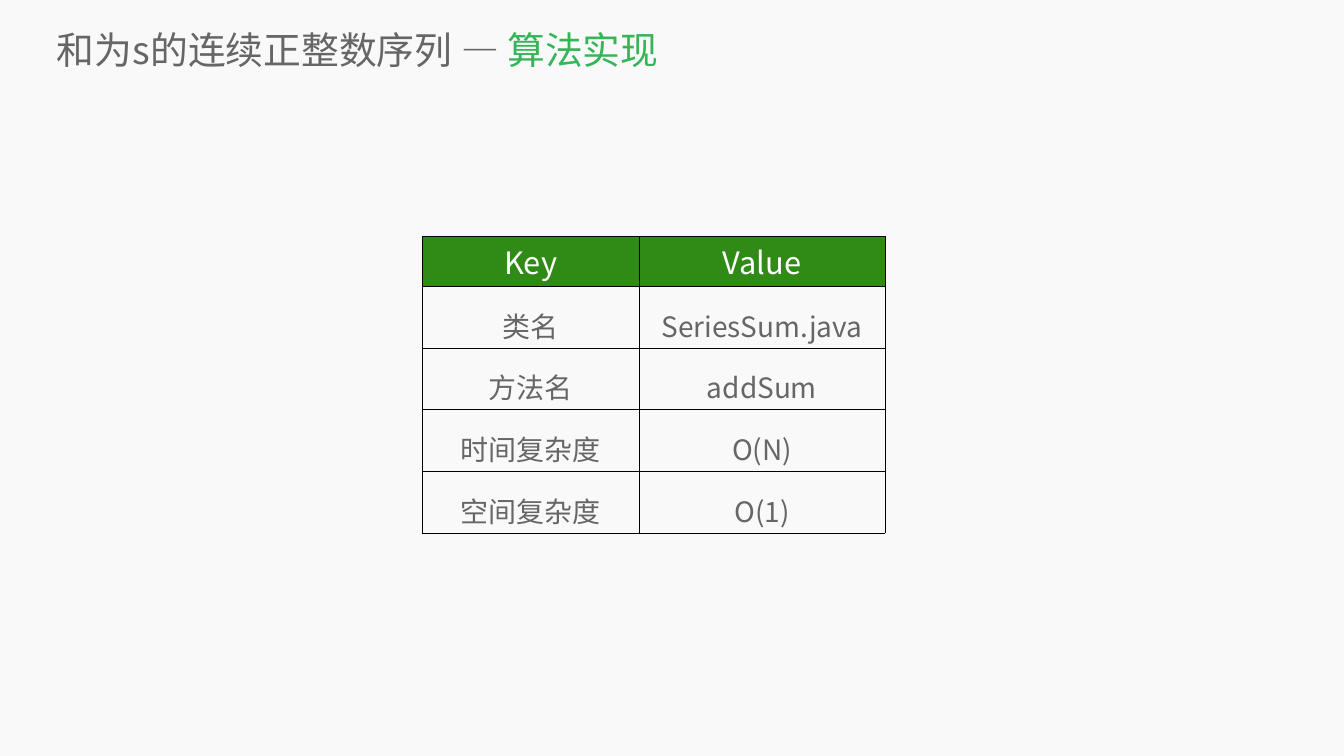
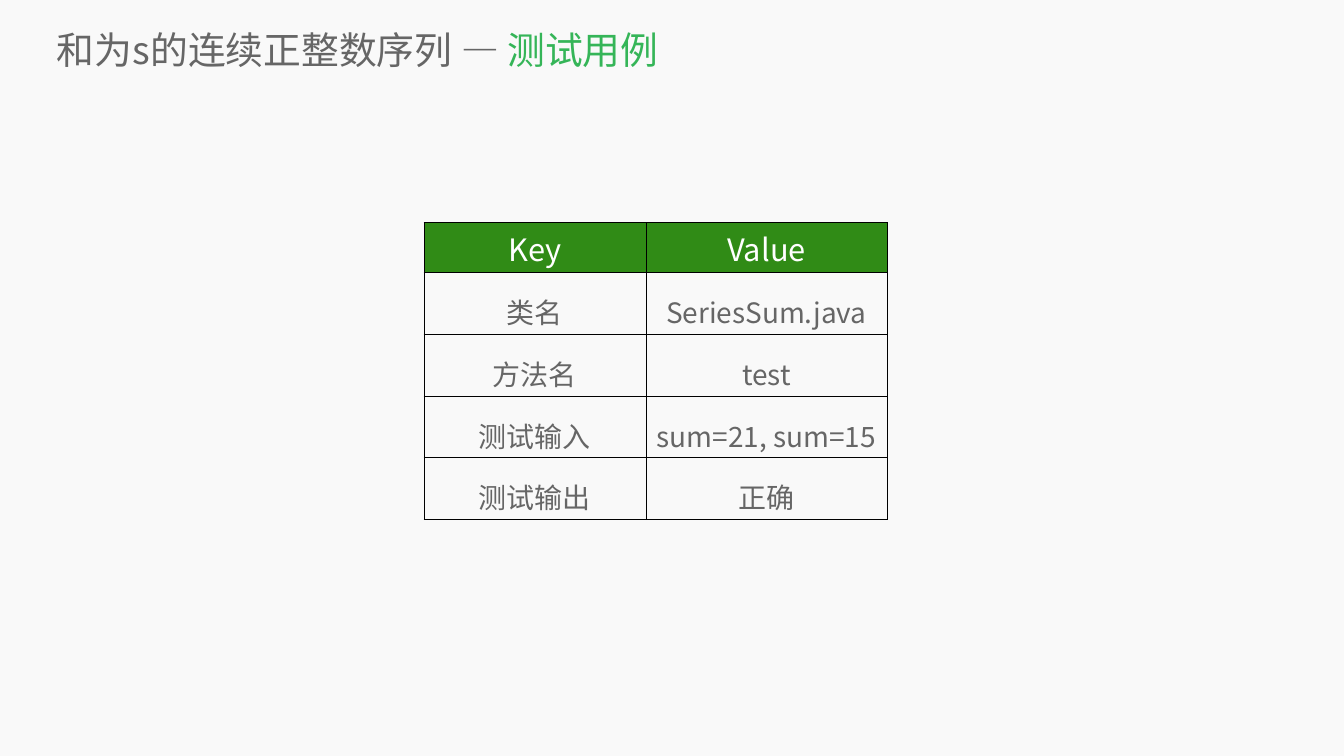
from lxml import etree
from pptx import Presentation
from pptx.dml.color import RGBColor
from pptx.enum.text import MSO_ANCHOR, MSO_AUTO_SIZE, PP_ALIGN
from pptx.oxml.ns import qn
from pptx.util import Inches, Pt

LEFT, CENTER = PP_ALIGN.LEFT, PP_ALIGN.CENTER
MIDDLE = MSO_ANCHOR.MIDDLE
NO_AUTOFIT = MSO_AUTO_SIZE.NONE

FONT = "Noto Sans CJK SC"
COLORS = {
    "background": "F9F9F9",
    "text": "666666",
    "accent": "35B558",
    "header": "308B16",
    "header_text": "FFFFFF",
    "border": "000000",
}
TITLE_LEAD = "和为s的连续正整数序列 — "
TITLE_BOX = (1.13, 0.47, 25.16, 1.02)
TITLE_ONLY = 5
HEADER_HEIGHT, ROW_HEIGHT = 0.85, 0.83

# Topic, table position, column widths and rows of each slide
PAGES = [
    ("算法实现", (8.38, 4.69), (4.3, 4.88), [
        ("类名", "SeriesSum.java"),
        ("方法名", "addSum"),
        ("时间复杂度", "O(N)"),
        ("空间复杂度", "O(1)"),
    ]),
    ("测试用例", (8.41, 4.42), (4.41, 4.78), [
        ("类名", "SeriesSum.java"),
        ("方法名", "test"),
        ("测试输入", "sum=21, sum=15"),
        ("测试输出", "正确"),
    ]),
]


def color(name):
    return RGBColor.from_string(COLORS[name])


def style_span(span, size, color_name):
    """Set the font for Latin and Chinese text alike."""
    font = span.font
    font.size = Pt(size)
    font.bold = False
    font.name = FONT
    font.color.rgb = color(color_name)
    east_asian = etree.Element(qn("a:ea"), typeface=FONT)
    span._r.get_or_add_rPr().find(qn("a:latin")).addnext(east_asian)


def add_borders(cell):
    properties = cell._tc.get_or_add_tcPr()
    for side in ("lnL", "lnR", "lnT", "lnB"):
        line = etree.SubElement(properties, qn(f"a:{side}"), w=str(Pt(1)))
        fill = etree.SubElement(line, qn("a:solidFill"))
        etree.SubElement(fill, qn("a:srgbClr"), val=COLORS["border"])


def place_title(page, box, topic):
    title = page.shapes.title
    title.left, title.top, title.width, title.height = map(Inches, box)
    frame = title.text_frame
    frame.margin_left = frame.margin_right = 0
    frame.margin_top = frame.margin_bottom = 0
    frame.vertical_anchor = MIDDLE
    frame.word_wrap = True
    frame.auto_size = NO_AUTOFIT
    para = frame.paragraphs[0]
    para.alignment = LEFT
    for text, color_name in ((TITLE_LEAD, "text"), (topic, "accent")):
        span = para.add_run()
        span.text = text
        style_span(span, 54, color_name)


def fill_cell(cell, text, is_header):
    add_borders(cell)
    cell.text = text
    para = cell.text_frame.paragraphs[0]
    para.alignment = CENTER
    if is_header:
        cell.fill.solid()
        cell.fill.fore_color.rgb = color("header")
        style_span(para.runs[0], 44, "header_text")
    else:
        cell.fill.background()
        para.line_spacing = 1.4
        style_span(para.runs[0], 40, "text")


def add_key_table(page, position, widths, rows):
    lines = [("Key", "Value")] + rows
    heights = [HEADER_HEIGHT] + [ROW_HEIGHT] * len(rows)
    left, top = position
    table = page.shapes.add_table(
        len(lines), len(widths), Inches(left), Inches(top),
        Inches(sum(widths)), Inches(sum(heights))).table
    table.first_row = False
    table.horz_banding = False
    for column, width in zip(table.columns, widths):
        column.width = Inches(width)
    for index, (row, height) in enumerate(zip(table.rows, heights)):
        row.height = Inches(height)
        for cell, text in zip(row.cells, lines[index]):
            fill_cell(cell, text, index == 0)


def build_page(deck, topic, position, widths, rows):
    page = deck.slides.add_slide(deck.slide_layouts[TITLE_ONLY])
    place_title(page, TITLE_BOX, topic)
    add_key_table(page, position, widths, rows)


def main():
    deck = Presentation()
    deck.slide_width, deck.slide_height = Inches(26.67), Inches(15)
    # Shared background
    background = deck.slide_master.background.fill
    background.solid()
    background.fore_color.rgb = color("background")
    for topic, position, widths, rows in PAGES:
        build_page(deck, topic, position, widths, rows)
    deck.save("out.pptx")


if __name__ == "__main__":
    main()
